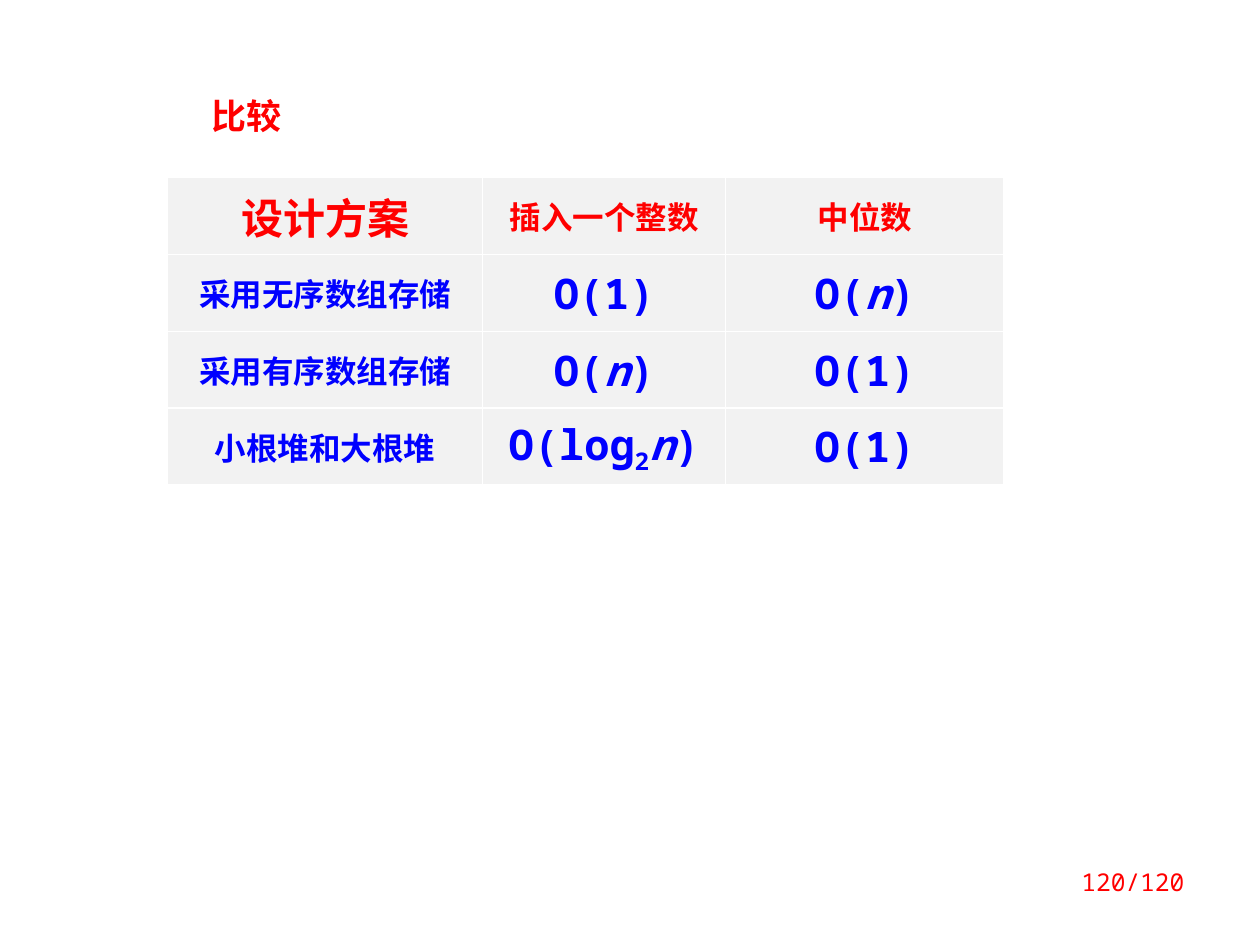
from lxml import etree
from pptx import Presentation
from pptx.dml.color import RGBColor
from pptx.enum.text import MSO_ANCHOR, PP_ALIGN
from pptx.oxml.ns import qn
from pptx.util import Inches, Pt

CENTER, RIGHT = PP_ALIGN.CENTER, PP_ALIGN.RIGHT
MIDDLE = MSO_ANCHOR.MIDDLE
RED, BLUE, GRAY = "FF0000", "0000FF", "F2F2F2"
MONO, HAN = "Noto Sans Mono", "Noto Sans CJK SC"


def color(code):
    return RGBColor.from_string(code)


class Deck:
    def __init__(self, width, height):
        self.prs = Presentation()
        self.prs.slide_width = Inches(width)
        self.prs.slide_height = Inches(height)
        self.slide = self.prs.slides.add_slide(self.prs.slide_layouts[6])

    def text(self, para, parts, size, ink, align=CENTER, bold=True, face=MONO):
        """Parts are (text, style) pairs; style is "", "italic" or "sub"."""
        para.alignment = align
        font = para.font
        font.name, font.size, font.bold = face, Pt(size), bold
        font.color.rgb = color(ink)
        base = para._p.pPr.find(qn("a:defRPr"))
        etree.SubElement(base, qn("a:ea")).set("typeface", HAN)
        for words, style in parts:
            run = para.add_run()
            run.text = words
            if style == "italic":
                run.font.italic = True
            elif style == "sub":
                run._r.get_or_add_rPr().set("baseline", "-25000")

    def label(self, box, words, size, **style):
        frame = self.slide.shapes.add_textbox(*map(Inches, box)).text_frame
        frame.word_wrap = True
        self.text(frame.paragraphs[0], [(words, "")], size, RED, **style)

    def table(self, left, top, widths, height, rows):
        shape = self.slide.shapes.add_table(
            len(rows), len(widths), Inches(left), Inches(top),
            Inches(sum(widths)), Inches(height * len(rows)))
        grid = shape.table
        for col, width in zip(grid.columns, widths):
            col.width = Inches(width)
        for r, row in enumerate(rows):
            grid.rows[r].height = Inches(height)
            for c, (parts, size) in enumerate(row):
                cell = grid.cell(r, c)
                cell.fill.solid()
                cell.fill.fore_color.rgb = color(GRAY)
                cell.vertical_anchor = MIDDLE
                self.text(cell.text_frame.paragraphs[0], parts, size,
                          BLUE if r else RED)


def plain(words, size=18):
    return [(words, "")], size


# Cost formulas
CONST = plain("O(1)", 24)
LINEAR = [("O(", ""), ("n", "italic"), (")", "")], 24
LOG = [("O(log", ""), ("2", "sub"), ("n", "italic"), (")", "")], 24


def main():
    deck = Deck(10, 7.5)

    # Comparison table
    deck.table(1.33, 1.41, [2.5, 1.93, 2.21], 0.61, [
        [plain("设计方案", 24), plain("插入一个整数"), plain("中位数")],
        [plain("采用无序数组存储"), CONST, LINEAR],
        [plain("采用有序数组存储"), LINEAR, CONST],
        [plain("小根堆和大根堆"), LOG, CONST],
    ])

    # Heading and page number
    deck.label((1.41, 0.7, 1.09, 0.44), "比较", 20, face=HAN)
    deck.label((7.17, 6.83, 2.33, 0.5), "120/120", 14, align=RIGHT, bold=False)

    deck.prs.save("out.pptx")


if __name__ == "__main__":
    main()
